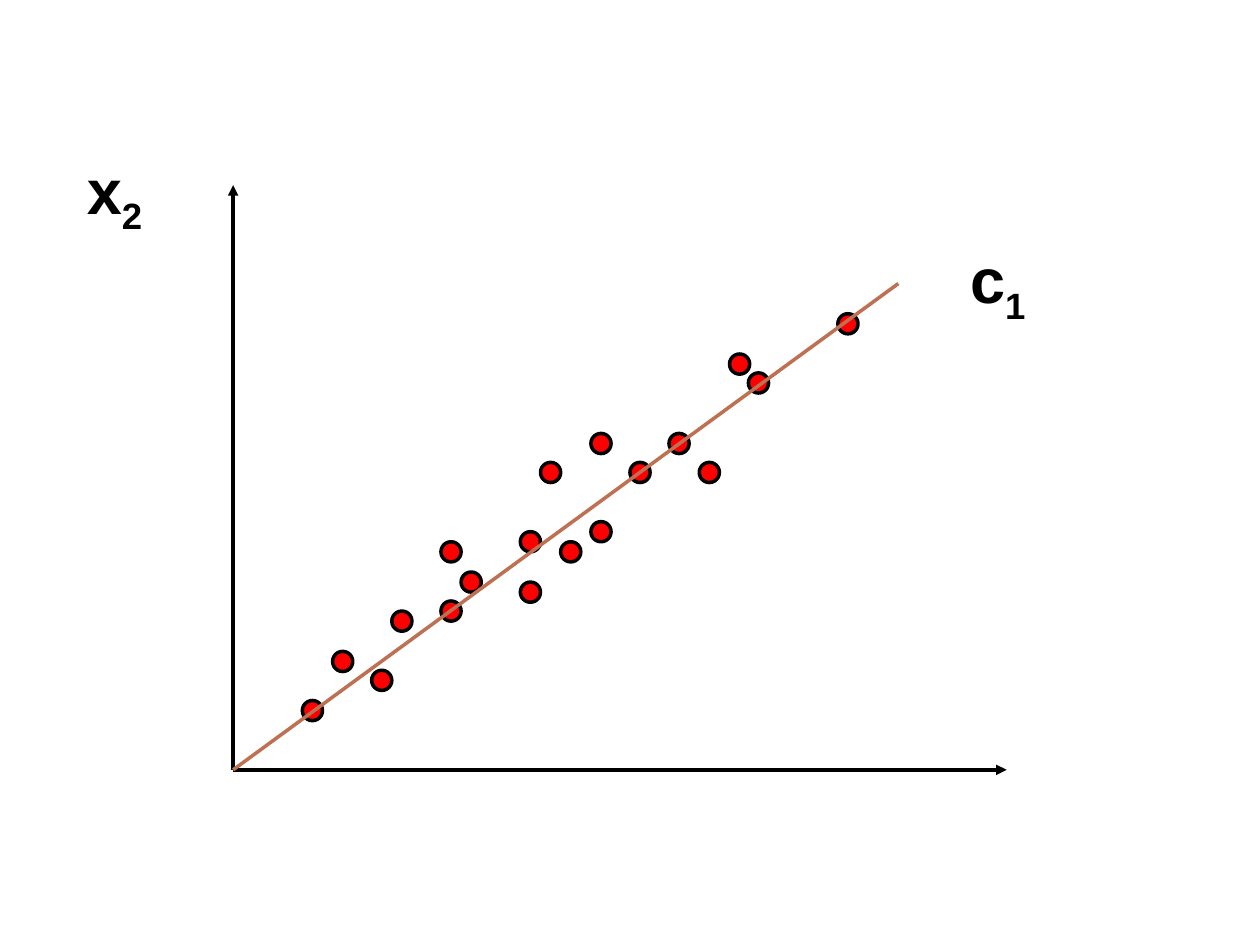
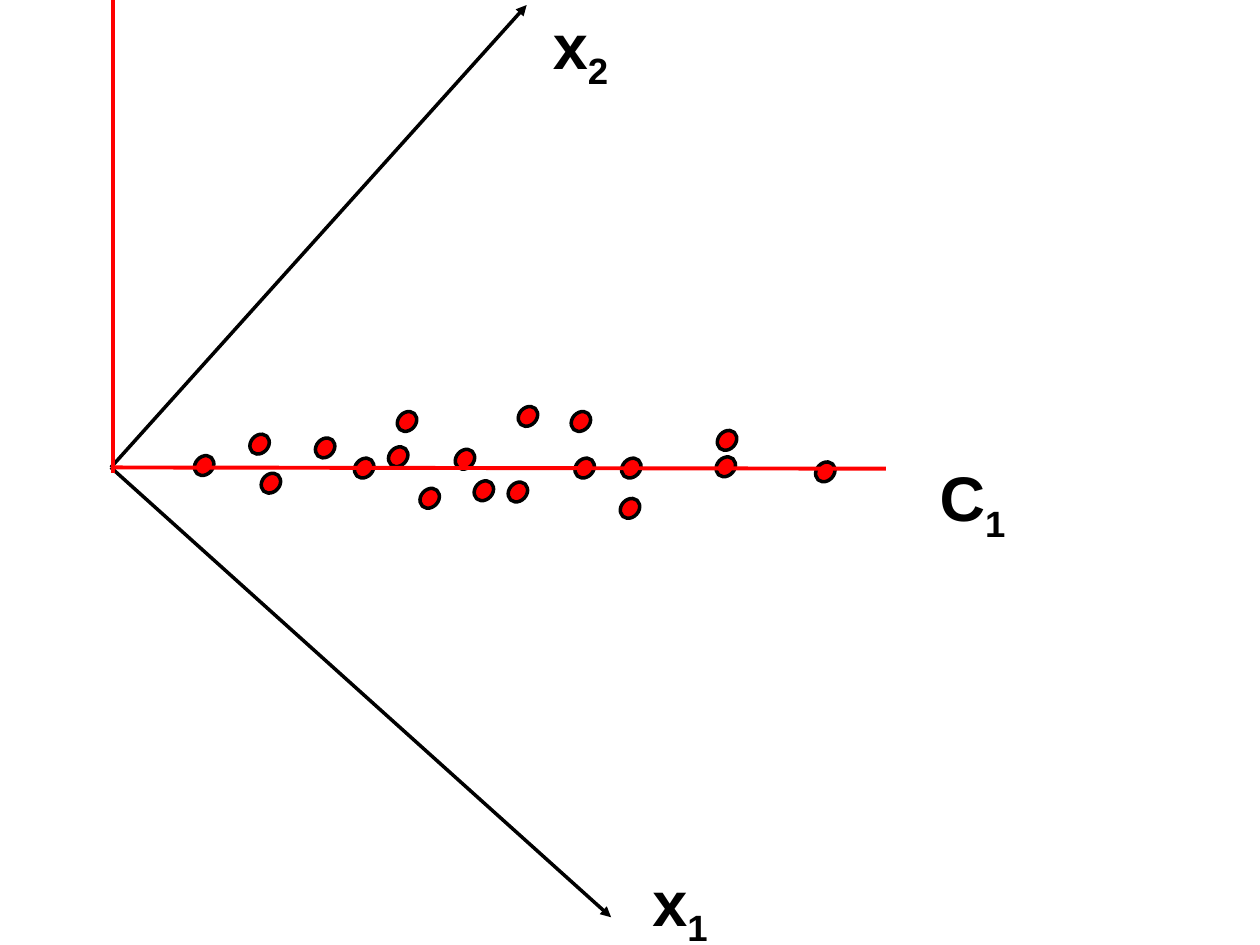
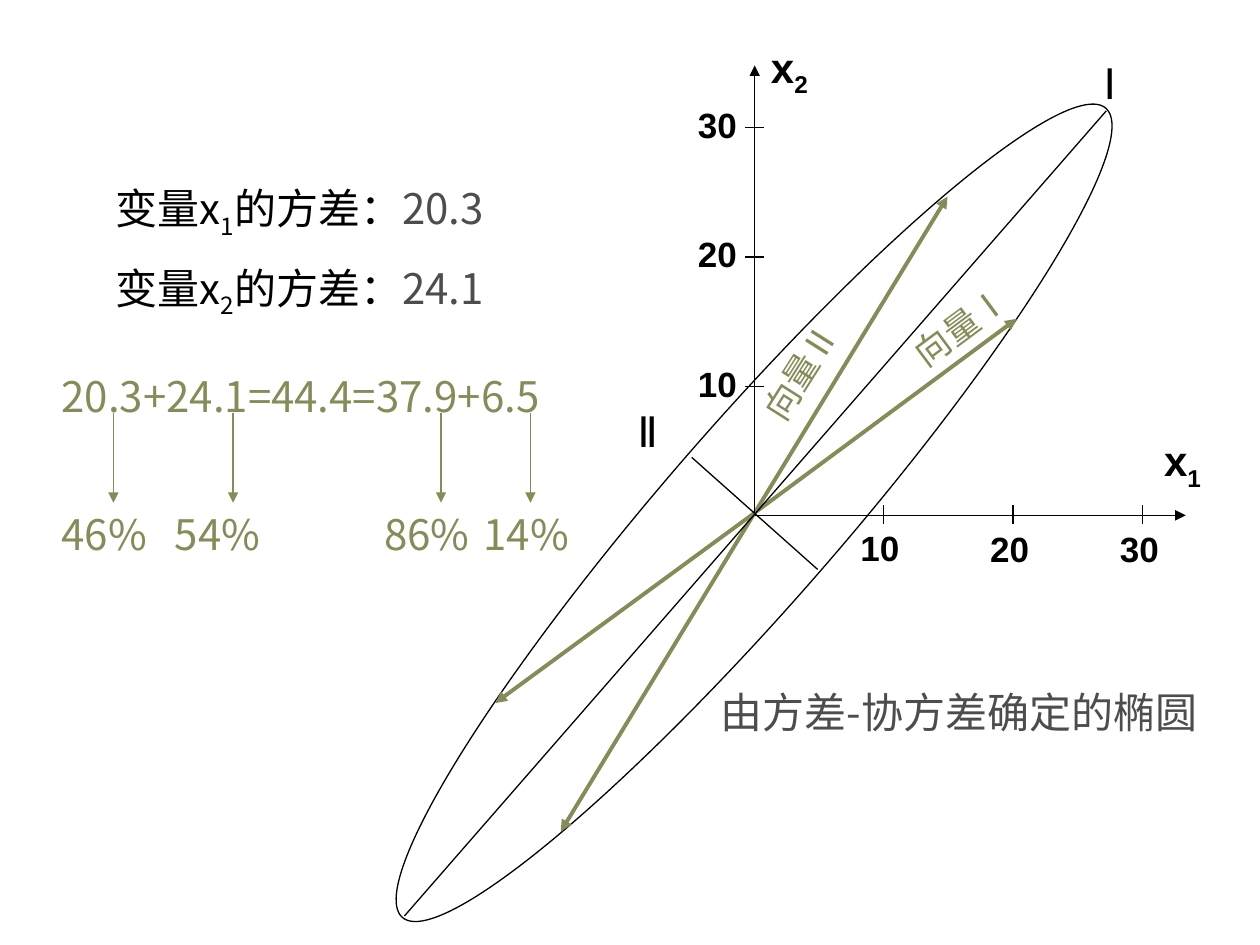
from lxml import etree
from pptx import Presentation
from pptx import util as u
from pptx.dml.color import RGBColor
from pptx.enum import shapes, text
from pptx.oxml import ns

PX = 9144  # EMU per px, 100 px to the inch
BLACK, RED, RUST, OLIVE, GREY = "000000", "FF0000", "BD7152", "868B57", "4D4D4D"
LATIN, CJK = "Arial", "Noto Sans CJK SC"

SCATTER = [(63, 47), (292, 189), (118, 71), (173, 173), (236, 181), (236, 141), (378, 236),
           (252, 236), (134, 118), (173, 126), (292, 259), (354, 259), (323, 236), (417, 307),
           (87, 86), (189, 149), (402, 322), (268, 173), (488, 354)]
ROTATED_SCATTER = [(74, 2), (323, -19), (127, -12), (235, 37), (281, 7), (253, -24), (412, -32),
                   (331, 41), (170, 16), (201, 0), (373, 37), (413, 0), (376, 0), (488, 1),
                   (118, 19), (228, 9), (489, 22), (296, -18), (567, -3)]


def px(*lengths):
    return [u.Emu(length * PX) for length in lengths]


def color(hex_string):
    return RGBColor.from_string(hex_string)


def line(slide, start, end, ink=BLACK, width=0.75, arrow=False):
    stroke = slide.shapes.add_connector(shapes.MSO_CONNECTOR.STRAIGHT, *px(*start, *end))
    stroke.line.color.rgb = color(ink)
    stroke.line.width = u.Pt(width)
    if arrow:
        etree.SubElement(stroke.line._get_or_add_ln(), ns.qn("a:tailEnd"), type="triangle")
    etree.SubElement(stroke._element.spPr, ns.qn("a:effectLst"))


def ellipse(slide, box, fill=None, width=0.75, rotation=0):
    oval = slide.shapes.add_shape(shapes.MSO_SHAPE.OVAL, *px(*box))
    oval.shadow.inherit = False
    oval.rotation = rotation
    oval.line.color.rgb = color(BLACK)
    oval.line.width = u.Pt(width)
    if fill:
        oval.fill.solid()
        oval.fill.fore_color.rgb = color(fill)
    else:
        oval.fill.background()


def write(slide, box, parts, size, ink=BLACK, font=LATIN, bold=False, rotation=0, grow=True):
    """Add a text box; each part is a string or a (string, style) pair."""
    frame_box = slide.shapes.add_textbox(*px(*box))
    frame_box.rotation = rotation
    frame = frame_box.text_frame
    frame.word_wrap = True
    if grow:
        frame.auto_size = text.MSO_AUTO_SIZE.SHAPE_TO_FIT_TEXT
    paragraph = frame.paragraphs[0]
    for part in parts:
        words, style = (part, {}) if isinstance(part, str) else part
        run = paragraph.add_run()
        run.text = words
        run.font.size = u.Pt(size)
        run.font.bold = bold
        run.font.color.rgb = color(style.get("ink", ink))
        run.font.name = style.get("font", font)
        properties = run._r.get_or_add_rPr()
        etree.SubElement(properties, ns.qn("a:ea"), typeface=CJK)
        if style.get("sub"):
            properties.set("baseline", "-25000")
    return paragraph


def sub(digit):
    return digit, {"sub": True}


def variable(slide, box, letter, digit, size=36):
    write(slide, box, [letter, sub(digit)], size, bold=True)


def statement(slide, box, parts, ink=OLIVE):
    paragraph = write(slide, box, parts, 24, ink, CJK, grow=False)
    paragraph.line_spacing = 1.2
    paragraph._p.get_or_add_pPr().set("marL", str(39 * PX))


def dots(slide, origin, offsets, width, height, rotation=0):
    """Draw dots centred at offsets to the right of and above the origin."""
    for right, up in offsets:
        box = (origin[0] + right - width // 2, origin[1] - up - height // 2, width, height)
        ellipse(slide, box, RED, 2, rotation)


def arrows(slide, origin, tips, ink=BLACK, width=2):
    x, y = origin
    for right, up in tips:
        line(slide, origin, (x + right, y - up), ink, width, arrow=True)


def scatter_slide(slide, origin):
    x, y = origin
    arrows(slide, origin, [(614, 0), (0, 464)])
    dots(slide, origin, SCATTER, 16, 16)
    line(slide, origin, (x + 528, y - 386), RUST, 2)
    variable(slide, (x - 126, y - 496, 102, 79), "x", "2")
    variable(slide, (x + 575, y - 425, 102, 79), "c", "1")


def rotated_slide(slide, origin):
    x, y = origin
    arrows(slide, origin, [(397, -357), (330, 367)])
    dots(slide, origin, ROTATED_SCATTER, 14, 17, 42)
    line(slide, origin, (x + 615, y + 1), RED, 2.25)
    line(slide, (x + 2, y + 4), (x + 2, y - 371), RED, 2.25)
    variable(slide, (x + 420, y + 309, 102, 79), "x", "1")
    variable(slide, (x + 341, y - 371, 102, 79), "x", "2")
    variable(slide, (x + 648, y - 12, 102, 79), "C", "1")


def ellipse_plot(slide, origin):
    x, y = origin
    ellipse(slide, (x - 426, y - 72, 851, 140), rotation=311)
    variable(slide, (x + 315, y - 69, 59, 56), "x", "1", 24)
    variable(slide, (x + 3, y - 381, 55, 56), "x", "2", 24)
    arrows(slide, (x, y - 2), [(208, 154), (153, 251), (-154, -253), (-206, -151)], OLIVE, 2.25)
    for step in (1, 2, 3):
        along = 103 * step - 1
        label = [str(10 * step)]
        line(slide, (x + along, y - 8), (x + along, y + 7))
        line(slide, (x + 7, y - along), (x - 8, y - along))
        write(slide, (x + along - 28, y + 4 + step // 2, 65, 44), label, 20, bold=True)
        write(slide, (x - 55, y - along - 24, 63, 44), label, 20, bold=True)
    write(slide, (x - 22, y - 149, 134, 44), ["向量Ⅱ"], 20, OLIVE, rotation=302.4)
    write(slide, (x + 110, y - 179, 126, 44), ["向量", ("Ⅰ", {"font": CJK})], 20, OLIVE,
          rotation=323.4)
    line(slide, (x + 279, y - 321), (x - 278, y + 318))
    line(slide, (x - 50, y - 46), (x + 50, y + 43))
    arrows(slide, origin, [(342, 0), (0, 357)], width=0.75)
    write(slide, (x + 267, y - 368, 59, 50), ["Ⅰ"], 24)
    write(slide, (x - 103, y - 92, 59, 50), ["Ⅱ"], 24)
    statement(slide, (x - 76, y + 123, 477, 71), ["由方差-协方差确定的椭圆"], GREY)


def variance_summary(slide, left, top):
    for row, variance in enumerate(("20.3", "24.1")):
        parts = ["变量x", sub(str(row + 1)), "的方差：", (variance, {"ink": GREY})]
        statement(slide, (left + 43, top + 63 * row, 409, 55), parts, BLACK)
    statement(slide, (left, top + 150, 512, 55), ["20.3+24.1=44.4=37.9+6.5"])
    for share, share_left, arrow_x in (("46%", 0, 90), ("54%", 90, 185),
                                       ("86%", 256, 350), ("14%", 335, 421)):
        statement(slide, (left + share_left, top + 260, 138, 55), [share])
        arrows(slide, (left + arrow_x, top + 197), [(0, -71)], OLIVE, 0.75)


def main():
    deck = Presentation()
    deck.slide_width, deck.slide_height = px(1000, 750)
    blank = deck.slide_layouts[6]
    scatter_slide(deck.slides.add_slide(blank), (185, 611))
    rotated_slide(deck.slides.add_slide(blank), (88, 371))
    variances = deck.slides.add_slide(blank)
    ellipse_plot(variances, (599, 409))
    variance_summary(variances, 0, 131)
    deck.save("out.pptx")


if __name__ == "__main__":
    main()
